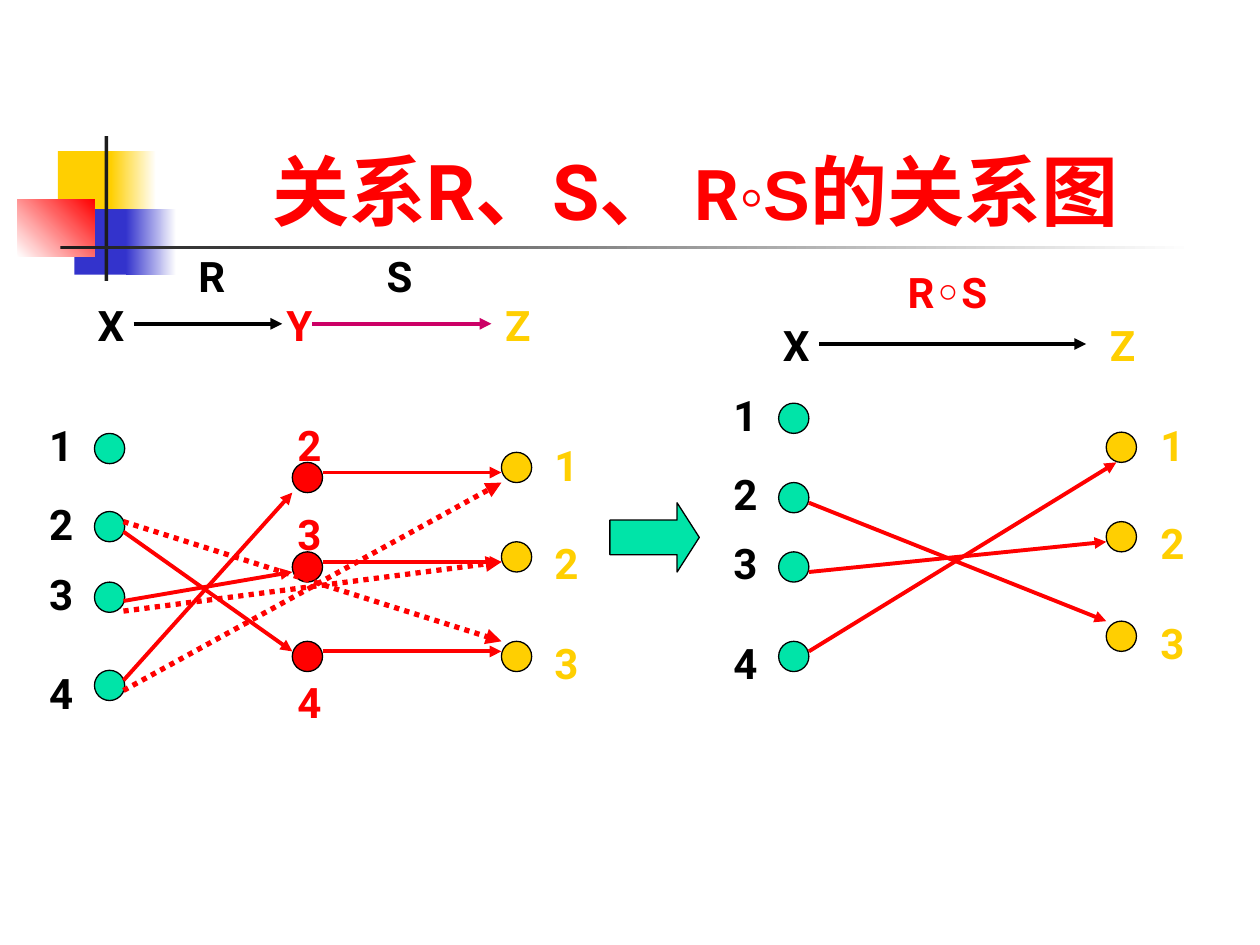
from lxml import etree
from pptx import Presentation
from pptx import util as u
from pptx.dml.color import RGBColor
from pptx.enum import dml, shapes, text
from pptx.oxml.ns import qn

BLACK = RGBColor(0x00, 0x00, 0x00)
DARK = RGBColor(0x1C, 0x1C, 0x1C)
WHITE = RGBColor(0xFF, 0xFF, 0xFF)
RED = RGBColor(0xFF, 0x00, 0x00)
YELLOW = RGBColor(0xFF, 0xCF, 0x01)
BLUE = RGBColor(0x33, 0x33, 0xCC)
GREEN = RGBColor(0x00, 0xE4, 0xA8)
MAGENTA = RGBColor(0xCC, 0x00, 0x66)

NODE = 0.24  # circle diameter

presentation = Presentation()
presentation.slide_width = u.Inches(10)
presentation.slide_height = u.Inches(7.5)
slide = presentation.slides.add_slide(presentation.slide_layouts[6])


def add_solid(kind, left, top, width, height, color, outlined=True):
    shape = slide.shapes.add_shape(kind, u.Inches(left), u.Inches(top),
                                   u.Inches(width), u.Inches(height))
    shape.shadow.inherit = False
    shape.fill.solid()
    shape.fill.fore_color.rgb = color
    if outlined:
        shape.line.color.rgb = BLACK
        shape.line.width = u.Pt(0.75)
    else:
        shape.line.fill.background()
    return shape


def add_arrow(start, end, color, dotted=False):
    points = [u.Inches(value) for value in (*start, *end)]
    connector = slide.shapes.add_connector(shapes.MSO_CONNECTOR.STRAIGHT, *points)
    connector.line.color.rgb = color
    connector.line.width = u.Pt(3 if dotted else 2.25)
    if dotted:
        connector.line.dash_style = dml.MSO_LINE.ROUND_DOT  # sysDot
    properties = connector._element.spPr
    etree.SubElement(properties.find(qn("a:ln")), qn("a:tailEnd"), type="triangle")
    etree.SubElement(properties, qn("a:effectLst"))


# Corner ornament and title rule: start colour, end colour, gradient angle
ornament = [
    (0.46, 1.2, 0.48, 0.52, YELLOW, None, 0),
    (0.88, 1.2, 0.36, 0.52, YELLOW, WHITE, 0),
    (0.59, 1.66, 0.46, 0.52, BLUE, None, 0),
    (1, 1.66, 0.4, 0.52, BLUE, WHITE, 0),
    (0.14, 1.58, 0.61, 0.46, WHITE, RED, 45),
    (0.83, 1.08, 0.03, 1.15, DARK, None, 0),
    (0.48, 1.95, 9, 0.03, DARK, WHITE, 0),
]
for left, top, width, height, color, end_color, angle in ornament:
    block = add_solid(shapes.MSO_SHAPE.RECTANGLE, left, top, width, height,
                      color, outlined=False)
    if end_color is not None:
        block.fill.gradient()
        block.fill.gradient_angle = angle
        for stop, stop_color in zip(block.fill.gradient_stops, (color, end_color)):
            stop.color.rgb = stop_color

# Title
title = slide.shapes.add_textbox(u.Inches(1.26), u.Inches(0.67),
                                 u.Inches(8.52), u.Inches(1.25))
title.text_frame.word_wrap = True
title.text_frame.vertical_anchor = text.MSO_ANCHOR.BOTTOM
paragraph = title.text_frame.paragraphs[0]
paragraph.alignment = text.PP_ALIGN.CENTER
paragraph.font.bold = True
paragraph.font.color.rgb = RED
for wording, size, font_name in [("关系R、S、 ", 44, "Roboto"), ("R", 40, "Roboto"),
                                 ("◦S", 40, "Arial"), ("的关系图", 44, "Roboto")]:
    run = paragraph.add_run()
    run.text = wording
    run.font.size = u.Pt(size)
    run.font.name = font_name

# Node columns: left edge, colour, tops of the circles
columns = [
    (0.75, GREEN, [3.44, 4.06, 4.62, 5.32]),
    (2.32, RED, [3.67, 4.38, 5.09]),
    (3.98, YELLOW, [3.59, 4.3, 5.09]),
    (6.18, GREEN, [3.2, 3.83, 4.38, 5.09]),
    (8.78, YELLOW, [3.43, 4.14, 4.93]),
]
for left, color, tops in columns:
    for top in tops:
        add_solid(shapes.MSO_SHAPE.OVAL, left, top, NODE, NODE, color)

# Labels: wording, left, top, width, colour
labels = [
    ("X", 0.67, 2.33, 0.42, BLACK), ("Y", 2.17, 2.33, 0.41, RED),
    ("Z", 3.91, 2.33, 0.39, YELLOW), ("R", 1.47, 1.94, 0.42, BLACK),
    ("S", 2.97, 1.94, 0.38, BLACK), ("R◦S", 6.97, 2.07, 1.1, RED),
    ("X", 6.11, 2.49, 0.42, BLACK), ("Z", 8.71, 2.49, 0.39, YELLOW),
]
# Number columns: first number, left edge, colour, tops
number_columns = [
    (1, 0.29, BLACK, [3.28, 3.91, 4.46, 5.25]),
    (2, 2.26, RED, [3.28, 3.99, 5.32]),
    (1, 4.3, YELLOW, [3.44, 4.22, 5.01]),
    (1, 5.72, BLACK, [3.04, 3.67, 4.22, 5.01]),
    (1, 9.11, YELLOW, [3.28, 4.06, 4.85]),
]
for first, left, color, tops in number_columns:
    for number, top in enumerate(tops, first):
        labels.append((str(number), left, top, 0.39, color))

for wording, left, top, width, color in labels:
    label = slide.shapes.add_textbox(u.Inches(left), u.Inches(top),
                                     u.Inches(width), u.Inches(0.5))
    label.text_frame.word_wrap = wording == "R◦S"
    label.text_frame.auto_size = text.MSO_AUTO_SIZE.SHAPE_TO_FIT_TEXT
    paragraph = label.text_frame.paragraphs[0]
    paragraph.text = wording
    paragraph.alignment = text.PP_ALIGN.CENTER
    paragraph.font.name = "Roboto"
    paragraph.font.size = u.Pt(24)
    paragraph.font.bold = True
    paragraph.font.color.rgb = color

# Arrows between the set names
add_arrow((1.06, 2.57), (2.24, 2.57), BLACK)
add_arrow((2.48, 2.57), (3.9, 2.57), MAGENTA)
add_arrow((6.5, 2.73), (8.62, 2.73), BLACK)

# Relation R, then S
for start, end in [((0.98, 4.22), (2.32, 5.17)), ((0.98, 4.77), (2.32, 4.54)),
                   ((0.98, 5.4), (2.32, 3.91))]:
    add_arrow(start, end, RED)
for y in (3.75, 4.46, 5.17):
    add_arrow((2.56, y), (3.98, y), RED)

# Composition traced through Y
for start_y, end_y in [(4.14, 5.09), (4.85, 4.46), (5.48, 3.83)]:
    add_arrow((0.98, start_y), (3.98, end_y), RED, dotted=True)

# Block arrow towards the result
block_arrow = add_solid(shapes.MSO_SHAPE.RIGHT_ARROW, 4.84, 3.99, 0.71, 0.55, GREEN)
block_arrow.adjustments[0] = 0.5
block_arrow.adjustments[1] = 0.32

# Composed relation
for start_y, end in [(3.99, (8.78, 4.93)), (4.54, (8.78, 4.3)), (5.17, (8.86, 3.67))]:
    add_arrow((6.42, start_y), end, RED)

presentation.save("out.pptx")
